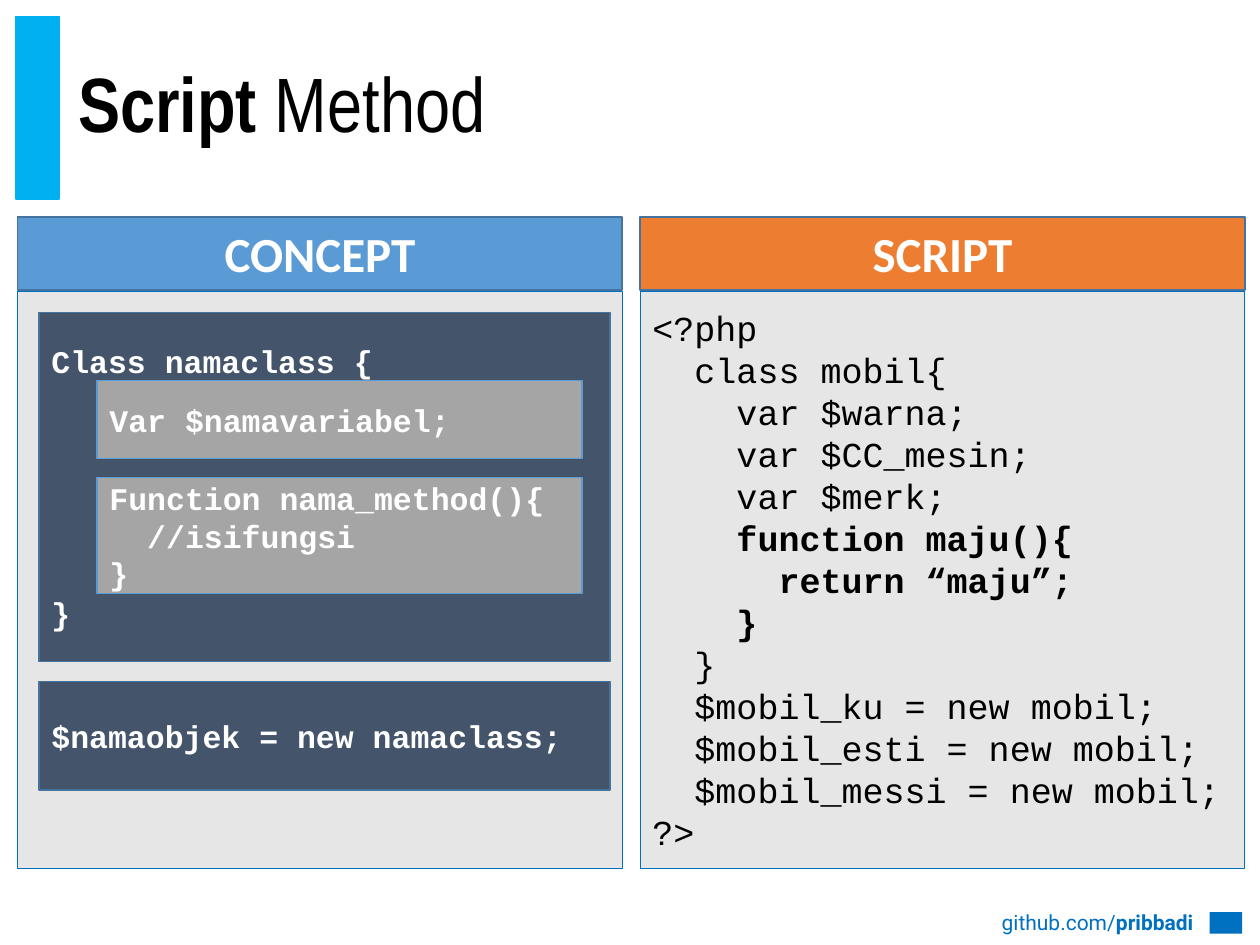
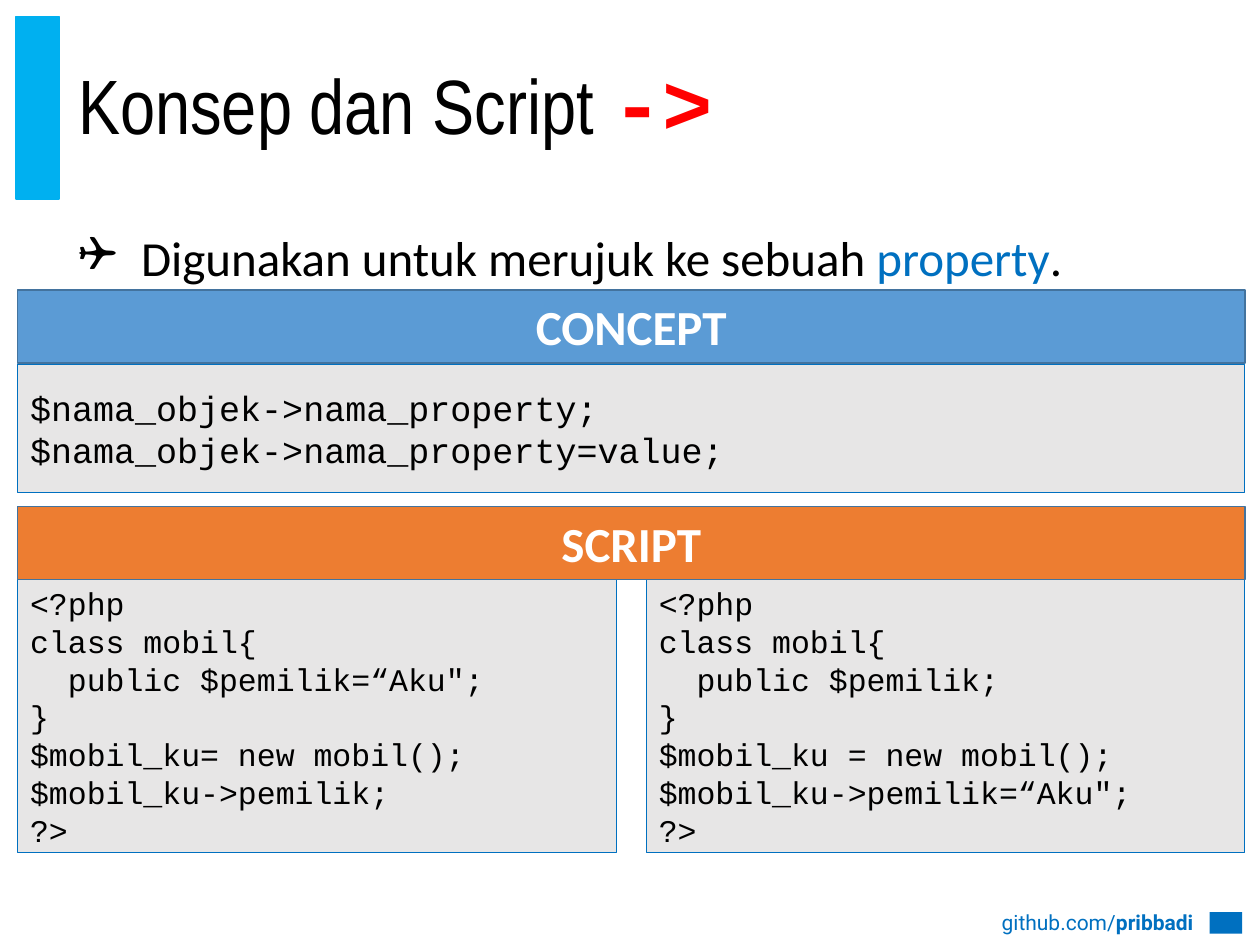
from lxml.etree import SubElement
from pptx import Presentation
from pptx.dml.color import RGBColor
from pptx.enum.shapes import MSO_SHAPE as Shape
from pptx.enum.text import MSO_ANCHOR as Anchor, MSO_AUTO_SIZE as AutoSize, PP_ALIGN as Align
from pptx.oxml.ns import qn
from pptx.util import Inches, Pt

COLORS = {
    "black": "000000", "white": "FFFFFF", "red": "FF0000", "band": "00B0F0",
    "link": "0070C0", "panel": "E7E6E6", "concept": "5B9BD5", "script": "ED7D31",
    "edge": "43739E", "class": "44546A", "member": "A5A5A5",
}
TITLE_FONT, BODY_FONT, CODE_FONT, FOOTER_FONT = "Arial Narrow", "Calibri", "Courier New", "Roboto"

# Runs: (text, own formatting)
METHOD_TITLE = [("Script ", {"bold": True}), ("Method", {})]
ARROW_TITLE = [("Konsep dan Script ", {}),
               ("->", {"bold": True, "color": "red", "font": CODE_FONT, "size": 48})]
USAGE = [("Digunakan untuk merujuk ke sebuah ", {}), ("property", {"color": "link"}), (".", {})]
FOOTER = [("github.com/", {}), ("pribbadi", {"bold": True})]

METHOD_SCRIPT = [
    "<?php",
    "  class mobil{",
    "    var $warna;",
    "    var $CC_mesin;",
    "    var $merk;",
    "    function maju(){",
    "      return “maju”;",
    "    }",
    "  }",
    "  $mobil_ku = new mobil;",
    "  $mobil_esti = new mobil;",
    "  $mobil_messi = new mobil;",
    "?>",
]
METHOD_LINES = range(5, 8)
CLASS_CODE = ["Class namaclass {", "}"]
VARIABLE_CODE = ["Var $namavariabel;"]
FUNCTION_CODE = ["Function nama_method(){", "  //isifungsi", "}"]
OBJECT_CODE = ["$namaobjek = new namaclass;"]
PROPERTY_CONCEPT = ["$nama_objek->nama_property;", "$nama_objek->nama_property=value;"]
PROPERTY_SCRIPTS = [
    ["<?php", "class mobil{", '  public $pemilik=“Aku";', "}",
     "$mobil_ku= new mobil();", "$mobil_ku->pemilik;", "?>"],
    ["<?php", "class mobil{", "  public $pemilik;", "}",
     "$mobil_ku = new mobil();", '$mobil_ku->pemilik=“Aku";', "?>"],
]

MARGIN, CONTENT_WIDTH, HEADER_HEIGHT = 0.14, 9.74, 0.58
TEXT_LEFT, TEXT_WIDTH = 0.52, 9.1
BAND_TOP, BAND_HEIGHT = 0.13, 1.45


def columns(count, gap):
    """Left edges and common width of equal columns across the content."""
    width = (CONTENT_WIDTH - gap * (count - 1)) / count
    return [MARGIN + i * (width + gap) for i in range(count)], width


def rgb(name):
    return RGBColor.from_string(COLORS[name])


def set_font(font, face, size, color, bold=False):
    font.name, font.size, font.bold = face, Pt(size), bold
    font.color.rgb = rgb(color)


def add_box(slide, left, top, width, height, fill, line=None, line_width=1):
    box = slide.shapes.add_shape(Shape.RECTANGLE, *map(Inches, (left, top, width, height)))
    box.shadow.inherit = False
    box.fill.solid()
    box.fill.fore_color.rgb = rgb(fill)
    if line:
        box.line.color.rgb = rgb(line)
        box.line.width = Pt(line_width)
    else:
        box.line.fill.background()
    box.text_frame.vertical_anchor = Anchor.MIDDLE
    return box


def write_lines(box, lines, face, size, color, bold=False, align=Align.LEFT):
    frame = box.text_frame
    for i, line in enumerate(lines):
        paragraph = frame.paragraphs[0] if i == 0 else frame.add_paragraph()
        paragraph.text = line
        paragraph.alignment = align
        set_font(paragraph.font, face, size, color, bold)
    return frame.paragraphs


def write_runs(paragraph, runs, face, size, color):
    for text, own in runs:
        run = paragraph.add_run()
        run.text = text
        set_font(run.font, **{"face": own.get("font", face), "size": own.get("size", size),
                              "color": own.get("color", color), "bold": own.get("bold", False)})


def add_panel(slide, left, top, width, height, code, size):
    panel = add_box(slide, left, top, width, height, "panel", "link", 0.5)
    return write_lines(panel, code, CODE_FONT, size, "black")


def add_header(slide, left, top, width, label):
    header = add_box(slide, left, top, width, HEADER_HEIGHT, label.lower(), "edge")
    write_lines(header, [label], BODY_FONT, 28, "white", True, Align.CENTER)


def add_concept(slide, left, top, width, height, fill, edge, code):
    block = add_box(slide, left, top, width, height, fill, edge)
    return write_lines(block, code, CODE_FONT, 18, "white", True)


def place_text(holder, top, height, anchor):
    """Position a placeholder and return its first paragraph, ready for runs."""
    holder.left, holder.top, holder.width, holder.height = map(
        Inches, (TEXT_LEFT, top, TEXT_WIDTH, height))
    frame = holder.text_frame
    frame.word_wrap, frame.auto_size, frame.vertical_anchor = True, AutoSize.NONE, anchor
    paragraph = frame.paragraphs[0]
    paragraph.alignment, paragraph.line_spacing, paragraph.space_before = Align.LEFT, 0.9, Pt(0)
    return paragraph


def add_slide(prs, layout, title):
    slide = prs.slides.add_slide(prs.slide_layouts[layout])
    heading = place_text(slide.shapes.title, BAND_TOP, BAND_HEIGHT, Anchor.MIDDLE)
    write_runs(heading, title, TITLE_FONT, 44, "black")
    add_box(slide, 0.13, BAND_TOP, 0.34, BAND_HEIGHT, "band", "band")
    address = add_box(slide, 7.9, 7.15, 1.67, 0.33, "white")
    address.text_frame.margin_left = 0
    line = address.text_frame.paragraphs[0]
    line.alignment = Align.RIGHT
    write_runs(line, FOOTER, FOOTER_FONT, 12, "link")
    add_box(slide, 9.6, 7.24, 0.26, 0.17, "link")
    return slide


def build_method(prs):
    slide = add_slide(prs, 5, METHOD_TITLE)
    lefts, width = columns(2, MARGIN)
    for left, label, code in zip(lefts, ("CONCEPT", "SCRIPT"), ([], METHOD_SCRIPT)):
        lines = add_panel(slide, left, 2.31, width, 4.58, code, 20)
        add_header(slide, left, 1.72, width, label)
    for i in METHOD_LINES:
        lines[i].font.bold = True

    outer, inner = (0.31, 4.53), (0.77, 3.85)
    for (left, block_width), top, height, fill, edge, code in [
        (outer, 2.48, 2.77, "class", "edge", CLASS_CODE),
        (inner, 3.02, 0.62, "member", "concept", VARIABLE_CODE),
        (inner, 3.79, 0.92, "member", "concept", FUNCTION_CODE),
        (outer, 5.41, 0.86, "class", "edge", OBJECT_CODE),
    ]:
        lines = add_concept(slide, left, top, block_width, height, fill, edge, code)
        if code is CLASS_CODE:
            lines[-1].space_before = Pt(122)  # room for the members


def build_property(prs):
    slide = add_slide(prs, 1, ARROW_TITLE)
    usage = place_text(slide.placeholders[1], 1.81, 5.31, Anchor.TOP)
    props = usage._p.get_or_add_pPr()
    props.set("marL", str(Inches(0.5)))
    props.set("indent", str(-Inches(0.5)))
    SubElement(props, qn("a:buFont")).set("typeface", "Wingdings")
    SubElement(props, qn("a:buChar")).set("char", "❑")
    write_runs(usage, USAGE, BODY_FONT, 28, "black")

    add_panel(slide, MARGIN, 2.89, CONTENT_WIDTH, 1.02, PROPERTY_CONCEPT, 20)
    lefts, width = columns(2, 0.24)
    for left, code in zip(lefts, PROPERTY_SCRIPTS):
        add_panel(slide, left, 4.6, width, 2.17, code, 18)
    for top, label in ((2.3, "CONCEPT"), (4.02, "SCRIPT")):
        add_header(slide, MARGIN, top, CONTENT_WIDTH, label)


def main():
    prs = Presentation()
    prs.slide_width, prs.slide_height = Inches(10), Inches(7.5)
    build_method(prs)
    build_property(prs)
    prs.save("out.pptx")


if __name__ == "__main__":
    main()
